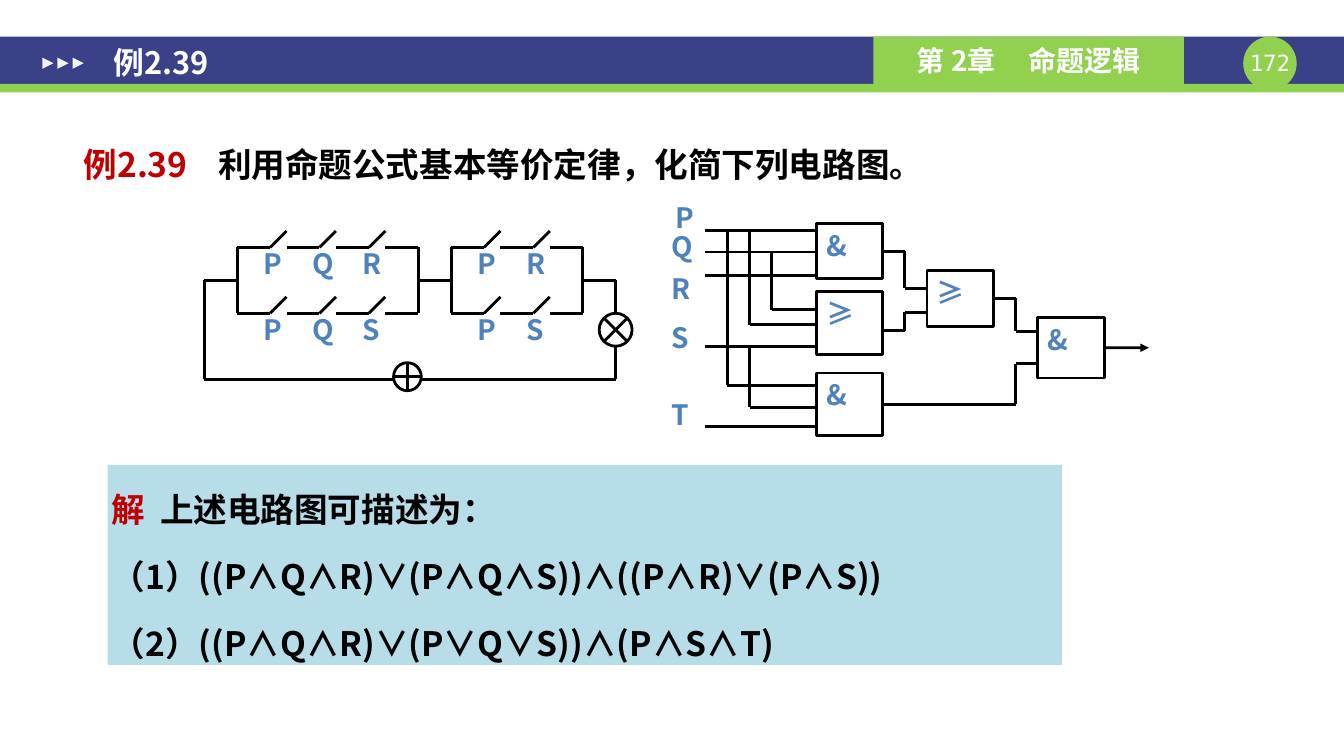
from collections import namedtuple
from dataclasses import dataclass

from lxml.etree import SubElement
from pptx import Presentation
from pptx.dml.color import RGBColor
from pptx.enum.shapes import MSO_CONNECTOR, MSO_SHAPE
from pptx.enum.text import MSO_ANCHOR, PP_ALIGN
from pptx.oxml.ns import qn
from pptx.util import Pt


@dataclass(frozen=True)
class Theme:
    font: str = "Noto Sans CJK SC"
    number_font: str = "DejaVu Sans Mono"
    white: str = "FFFFFF"
    black: str = "000000"
    navy: str = "3A4187"
    green: str = "92D050"
    marker: str = "F2F2F2"
    red: str = "C00000"
    blue: str = "4F81BD"
    panel: str = "B7DEE8"
    body: int = 24
    title: int = 22
    label: int = 20
    number: int = 16
    line: int = 2


T = Theme()
Box = namedtuple("Box", "x y w h")
RIGHT_SIDE = 3


def add_text(sp, text, size=T.label, color=T.blue, font=T.font, bold=True,
             lead="", tab=None, align=PP_ALIGN.LEFT, anchor=MSO_ANCHOR.TOP,
             insets=(7.2, 3.6), left=None, line_spacing=None, space_before=0):
    tf = sp.text_frame
    tf.word_wrap = True
    tf.vertical_anchor = anchor
    tf.margin_left = Pt(insets[0] if left is None else left)
    tf.margin_right = Pt(insets[0])
    tf.margin_top = tf.margin_bottom = Pt(insets[1])
    for i, line in enumerate(text.split("\n")):
        p = tf.add_paragraph() if i else tf.paragraphs[0]
        if tab and not i:
            tabs = SubElement(p._p.get_or_add_pPr(), qn("a:tabLst"))
            SubElement(tabs, qn("a:tab"), pos=str(Pt(tab)), algn="l")
        p.alignment = align
        if line_spacing:
            p.line_spacing = line_spacing
        if i and space_before:
            p.space_before = Pt(space_before)
        runs = [(line, color)]
        if lead and not i:
            runs.insert(0, (lead + "\t", T.red))
        for content, run_color in runs:
            r = p.add_run()
            r.text = content
            r.font.name = font
            r.font.size = Pt(size)
            r.font.bold = bold
            r.font.color.rgb = RGBColor.from_string(run_color)
            SubElement(r.font._element, qn("a:ea"), typeface=font)


def add_shape(s, kind, x, y, w, h, fill=T.white, line=None):
    sp = s.shapes.add_shape(kind, Pt(x), Pt(y), Pt(w), Pt(h))
    sp.shadow.inherit = False
    sp.fill.solid()
    sp.fill.fore_color.rgb = RGBColor.from_string(fill)
    if line:
        sp.line.color.rgb = RGBColor.from_string(line)
        sp.line.width = Pt(T.line)
    else:
        sp.line.fill.background()
    return sp


def add_wire(s, points, gate=None, arrow=False):
    for i, (a, b) in enumerate(zip(points, points[1:])):
        cx = s.shapes.add_connector(MSO_CONNECTOR.STRAIGHT, *map(Pt, a + b))
        cx.line.color.rgb = RGBColor.from_string(T.black)
        cx.line.width = Pt(T.line)
        if arrow:
            SubElement(cx.line._get_or_add_ln(), qn("a:tailEnd"), type="triangle")
        SubElement(cx._element.spPr, qn("a:effectLst"))
        if gate is not None and not i:
            cx.begin_connect(gate, RIGHT_SIDE)


def add_header(s, box, title, chapter, topic, number):
    band, badge = 33.8, 38.2
    add_shape(s, MSO_SHAPE.RECTANGLE, box.x, box.y, box.w, band, T.navy)
    add_shape(s, MSO_SHAPE.RECTANGLE, box.x, box.y + band, box.w, box.h - band, T.green)
    badge_x = box.x + 888.5
    add_shape(s, MSO_SHAPE.OVAL, badge_x, box.y, badge, badge, T.green)
    sp = s.shapes.add_textbox(Pt(badge_x), Pt(box.y + 8.6), Pt(badge), Pt(19.4))
    add_text(sp, number, T.number, T.white, T.number_font, bold=False,
             align=PP_ALIGN.CENTER, insets=(0, 0))
    chip = add_shape(s, MSO_SHAPE.RECTANGLE, box.x + 624.2, box.y, 221.8, band, T.green)
    add_text(chip, chapter + "\t" + topic, T.label, T.white, tab=80, left=31,
             anchor=MSO_ANCHOR.MIDDLE)
    for i in range(3):
        marker = add_shape(s, MSO_SHAPE.ISOSCELES_TRIANGLE,
                           box.x + 30.2 + 10.8 * i, box.y + 15, 8, 8, T.marker)
        marker.rotation = 90
    sp = s.shapes.add_textbox(Pt(box.x + 72), Pt(box.y - 18), Pt(635), Pt(72.7))
    add_text(sp, title, T.title, T.white, anchor=MSO_ANCHOR.MIDDLE, insets=(9.4, 5))


def add_question(s, box, lead, text):
    sp = s.shapes.add_textbox(*map(Pt, box))
    add_text(sp, text, T.body, T.black, lead=lead, tab=96, insets=(9.4, 5),
             line_spacing=1.5)


def add_switch_circuit(s, box):
    u = box.w / 25

    def at(col, row):
        return box.x + col * u, box.y + row * u

    branches = [(2, 1, "PQR"), (2, 5, "PQS"), (15, 1, "PR"), (15, 5, "PS")]
    for start, row, names in branches:
        for i, name in enumerate(names):
            x, y = at(start + 1 + 3 * i, row)
            label = add_shape(s, MSO_SHAPE.RECTANGLE, x, y - 4, 24, 35)
            add_text(label, name)
    for start, row, names in branches:
        for i in range(len(names)):
            col = start + 3 * i
            add_wire(s, [at(col, row), at(col + 2, row), at(col + 3, row - 1)])
        end = start + 3 * len(names)
        add_wire(s, [at(end, row), at(end + 2, row)])
    for col in (2, 13, 15, 23):
        add_wire(s, [at(col, 1), at(col, 5)])
    add_wire(s, [at(13, 3), at(15, 3)])
    add_wire(s, [at(2, 3), at(0, 3), at(0, 9), at(25, 9), at(25, 3), at(23, 3)])
    add_shape(s, MSO_SHAPE.FLOWCHART_SUMMING_JUNCTION, *at(24, 5), 2 * u, 2 * u,
              line=T.black)
    x, y = at(11.5, 8)
    add_shape(s, MSO_SHAPE.FLOWCHART_OR, x, y, 19.8, 20, line=T.black)


def add_logic_circuit(s, box):
    margin = 31
    u = (box.w - margin) / 20

    def path(*points):
        return [(box.x + margin + col * u, box.y + y) for col, y in points]

    for name, dx, y, h in [("T", 0, 141, 40), ("S", 0, 86, 40), ("R", 0, 50.4, 26),
                           ("Q", 0, 21, 28), ("P", 3, 0, 21)]:
        label = add_shape(s, MSO_SHAPE.RECTANGLE, box.x + dx, box.y + y, 28, h)
        add_text(label, name)

    gates = []
    for symbol, col, y, h in [("&", 5, 20.2, 39), ("≥", 5, 68.4, 45.4),
                              ("&", 5, 126.7, 44.6), ("≥", 10, 53.3, 40.4),
                              ("&", 15, 87.1, 43.2)]:
        (left, top), = path((col, y))
        gate = add_shape(s, MSO_SHAPE.RECTANGLE, left, top, 3 * u, h, line=T.black)
        add_text(gate, symbol)
        gates.append(gate)
    and_top, _, and_low, or_mid, and_out = gates

    p, q, r, s_in, t = 25.2, 40.3, 56.9, 108, 164.9
    for y in (p, q, r, s_in, t):
        add_wire(s, path((0, y), (5, y)))
    for col, source, y in [(1, p, 135.4), (2, p, 92.2), (3, q, 81.4), (2, s_in, 151.2)]:
        add_wire(s, path((col, source), (col, y), (5, y)))

    add_wire(s, path((8, 39.7), (9, 39.7), (9, 66.2), (10, 66.2)), and_top)
    add_wire(s, path((8, 96.5), (9, 96.5), (9, 83.5), (10, 83.5)))
    add_wire(s, path((13, 73.5), (14, 73.5), (14, 97), (15, 97)), or_mid)
    add_wire(s, path((8, 149), (14, 149), (14, 120.2), (15, 120.2)), and_low)
    add_wire(s, path((18, 108.7), (20, 108.7)), and_out, arrow=True)


def add_solution(s, box, lead, text):
    sp = add_shape(s, MSO_SHAPE.RECTANGLE, *box, T.panel)
    add_text(sp, text, T.body, T.black, lead=lead, tab=34.5, insets=(2.9, 2.9),
             line_spacing=1.5, space_before=4.8)


def main():
    prs = Presentation()
    prs.slide_width, prs.slide_height = Pt(960.48), Pt(540)
    s = prs.slides.add_slide(prs.slide_layouts[6])
    add_header(s, Box(0, 26.2, 960.48, 39.8), "例2.39", "第 2章", "命题逻辑", "172")
    add_question(s, Box(50.4, 83.5, 855.4, 42.5), "例2.39",
                 "利用命题公式基本等价定律，化简下列电路图。")
    add_logic_circuit(s, Box(473, 139.7, 348, 181.5))
    add_switch_circuit(s, Box(146, 165, 294, 106))
    add_solution(s, Box(77, 332, 682, 143), "解",
                 "上述电路图可描述为：\n"
                 "（1）((P∧Q∧R)∨(P∧Q∧S))∧((P∧R)∨(P∧S))\n"
                 "（2）((P∧Q∧R)∨(P∨Q∨S))∧(P∧S∧T)")
    prs.save("out.pptx")


if __name__ == "__main__":
    main()
